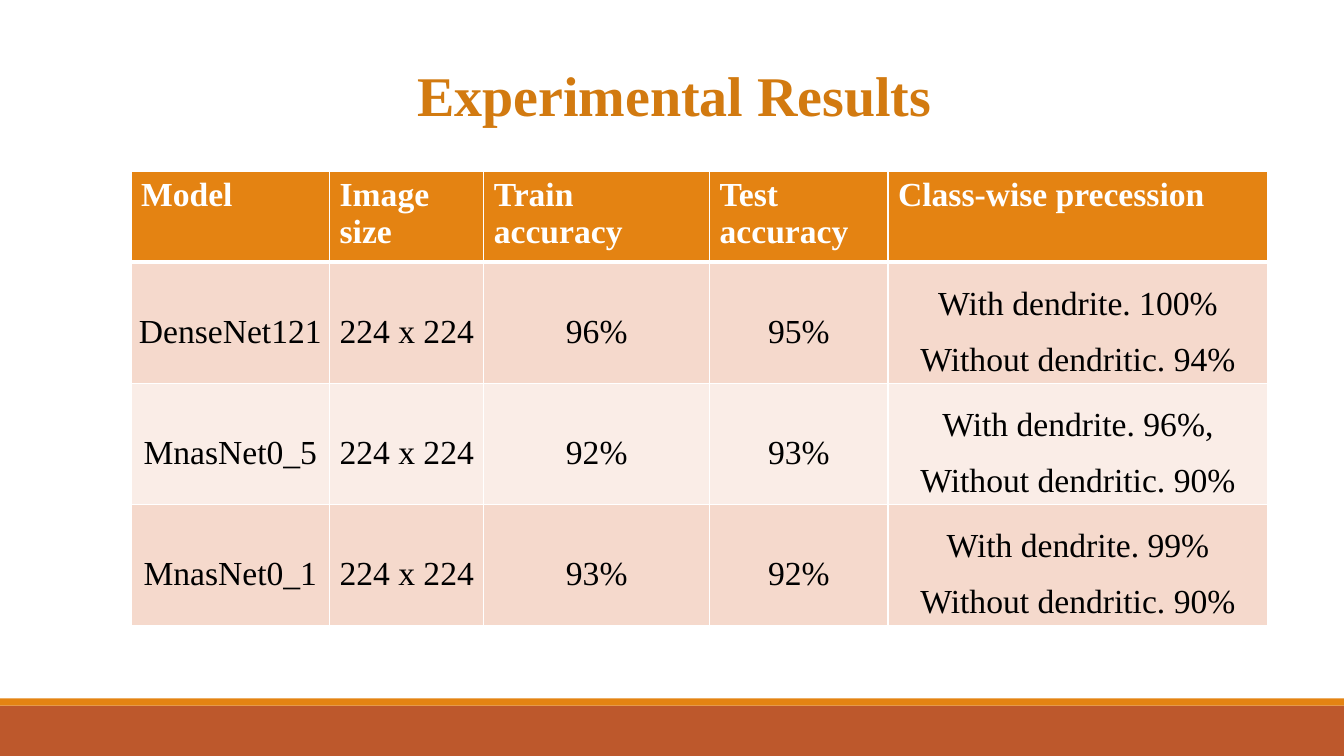
import dataclasses

import lxml.etree
import pptx
import pptx.dml.color
import pptx.enum.shapes
import pptx.enum.text
import pptx.oxml.ns
import pptx.util

GRID_STEP = 0.1
SLIDE_COLUMNS, SLIDE_ROWS = 133.33, 75
FONT = "Times New Roman"
ORANGE, RUST, WHITE, BLACK = "E48312", "BD582C", "FFFFFF", "000000"
TITLE_COLOR = "D27A10"
ROW_TINTS = ["F5D9CC", "FAEDE7"]
HEADERS = ["Model", "Image size", "Train accuracy", "Test accuracy", "Class-wise precession"]
COLUMN_WIDTHS = [19.7, 15.3, 22.4, 17.7, 37.7]
HEADER_HEIGHT, RESULT_HEIGHT = 9, 12
IMAGE_SIZE = "224 x 224"


@dataclasses.dataclass
class Box:
    left: float
    top: float
    width: float
    height: float


@dataclasses.dataclass
class Band:
    box: Box
    color: str


@dataclasses.dataclass
class Result:
    model: str
    train: str
    test: str
    with_dendrite: str
    without_dendrite: str

    def texts(self) -> list[str]:
        precision = f"With dendrite. {self.with_dendrite}\nWithout dendritic. {self.without_dendrite}"
        return [self.model, IMAGE_SIZE, self.train, self.test, precision]


@dataclasses.dataclass
class CellStyle:
    fill: str
    font_color: str
    bold: bool
    top_line: float
    bottom_line: float


TITLE_BOX = Box(40.1, 5.5, 53.6, 7.7)
TABLE_BOX = Box(13, 17, sum(COLUMN_WIDTHS), HEADER_HEIGHT + 3 * RESULT_HEIGHT)
BANDS = [
    Band(Box(0, 70, SLIDE_COLUMNS, 5), RUST),
    Band(Box(0, 69.3, SLIDE_COLUMNS, 0.7), ORANGE),
]
RESULTS = [
    Result("DenseNet121", "96%", "95%", "100%", "94%"),
    Result("MnasNet0_5", "92%", "93%", "96%,", "90%"),
    Result("MnasNet0_1", "93%", "92%", "99%", "90%"),
]


def grid(units: float) -> pptx.util.Emu:
    return pptx.util.Inches(units * GRID_STEP)


def place(box: Box) -> tuple:
    return grid(box.left), grid(box.top), grid(box.width), grid(box.height)


def color(value: str) -> pptx.dml.color.RGBColor:
    return pptx.dml.color.RGBColor.from_string(value)


def format_text(text_frame, size: float, font_color: str, bold: bool) -> None:
    for paragraph in text_frame.paragraphs:
        for run in paragraph.runs:
            run.font.name = FONT
            run.font.size = pptx.util.Pt(size)
            run.font.bold = bold
            run.font.color.rgb = color(font_color)


def draw_band(slide, band: Band) -> None:
    shape = slide.shapes.add_shape(pptx.enum.shapes.MSO_SHAPE.RECTANGLE, *place(band.box))
    shape.shadow.inherit = False
    shape.fill.solid()
    shape.fill.fore_color.rgb = color(band.color)
    shape.line.fill.background()


def draw_title(slide) -> None:
    title = slide.shapes.title
    title.left, title.top, title.width, title.height = place(TITLE_BOX)
    text_frame = title.text_frame
    text_frame.text = "Experimental Results"
    text_frame.word_wrap = False
    text_frame.auto_size = pptx.enum.text.MSO_AUTO_SIZE.SHAPE_TO_FIT_TEXT
    text_frame.vertical_anchor = pptx.enum.text.MSO_ANCHOR.TOP
    text_frame.paragraphs[0].alignment = pptx.enum.text.PP_ALIGN.CENTER
    format_text(text_frame, 40, TITLE_COLOR, True)


def draw_borders(cell, style: CellStyle) -> None:
    properties = cell._tc.get_or_add_tcPr()
    widths = {"lnL": 1, "lnR": 1, "lnT": style.top_line, "lnB": style.bottom_line}
    for side, width in widths.items():
        line = lxml.etree.SubElement(
            properties, pptx.oxml.ns.qn(f"a:{side}"), w=str(pptx.util.Pt(width))
        )
        fill = lxml.etree.SubElement(line, pptx.oxml.ns.qn("a:solidFill"))
        lxml.etree.SubElement(fill, pptx.oxml.ns.qn("a:srgbClr"), val=WHITE)


def fill_cell(cell, text: str, style: CellStyle) -> None:
    draw_borders(cell, style)
    cell.fill.solid()
    cell.fill.fore_color.rgb = color(style.fill)
    cell.text_frame.text = text
    format_text(cell.text_frame, 24, style.font_color, style.bold)


def center_cell(cell) -> None:
    cell.vertical_anchor = pptx.enum.text.MSO_ANCHOR.MIDDLE
    cell.margin_left = cell.margin_right = grid(0.7)
    cell.margin_top = cell.margin_bottom = 0
    for paragraph in cell.text_frame.paragraphs:
        paragraph.alignment = pptx.enum.text.PP_ALIGN.CENTER
        paragraph.line_spacing = 1.5


def draw_table(slide) -> None:
    table = slide.shapes.add_table(len(RESULTS) + 1, len(HEADERS), *place(TABLE_BOX)).table
    for column, width in zip(table.columns, COLUMN_WIDTHS):
        column.width = grid(width)

    table.rows[0].height = grid(HEADER_HEIGHT)
    header_style = CellStyle(ORANGE, WHITE, True, 1, 3)
    for cell, text in zip(table.rows[0].cells, HEADERS):
        fill_cell(cell, text, header_style)

    for index, result in enumerate(RESULTS):
        row = table.rows[index + 1]
        row.height = grid(RESULT_HEIGHT)
        tint = ROW_TINTS[index % len(ROW_TINTS)]
        style = CellStyle(tint, BLACK, False, 3 if index == 0 else 1, 1)
        for cell, text in zip(row.cells, result.texts()):
            fill_cell(cell, text, style)
            center_cell(cell)


def main() -> None:
    presentation = pptx.Presentation()
    presentation.slide_width = grid(SLIDE_COLUMNS)
    presentation.slide_height = grid(SLIDE_ROWS)
    slide = presentation.slides.add_slide(presentation.slide_layouts.get_by_name("Title Only"))
    for band in BANDS:
        draw_band(slide, band)
    draw_title(slide)
    draw_table(slide)
    presentation.save("out.pptx")


if __name__ == "__main__":
    main()
